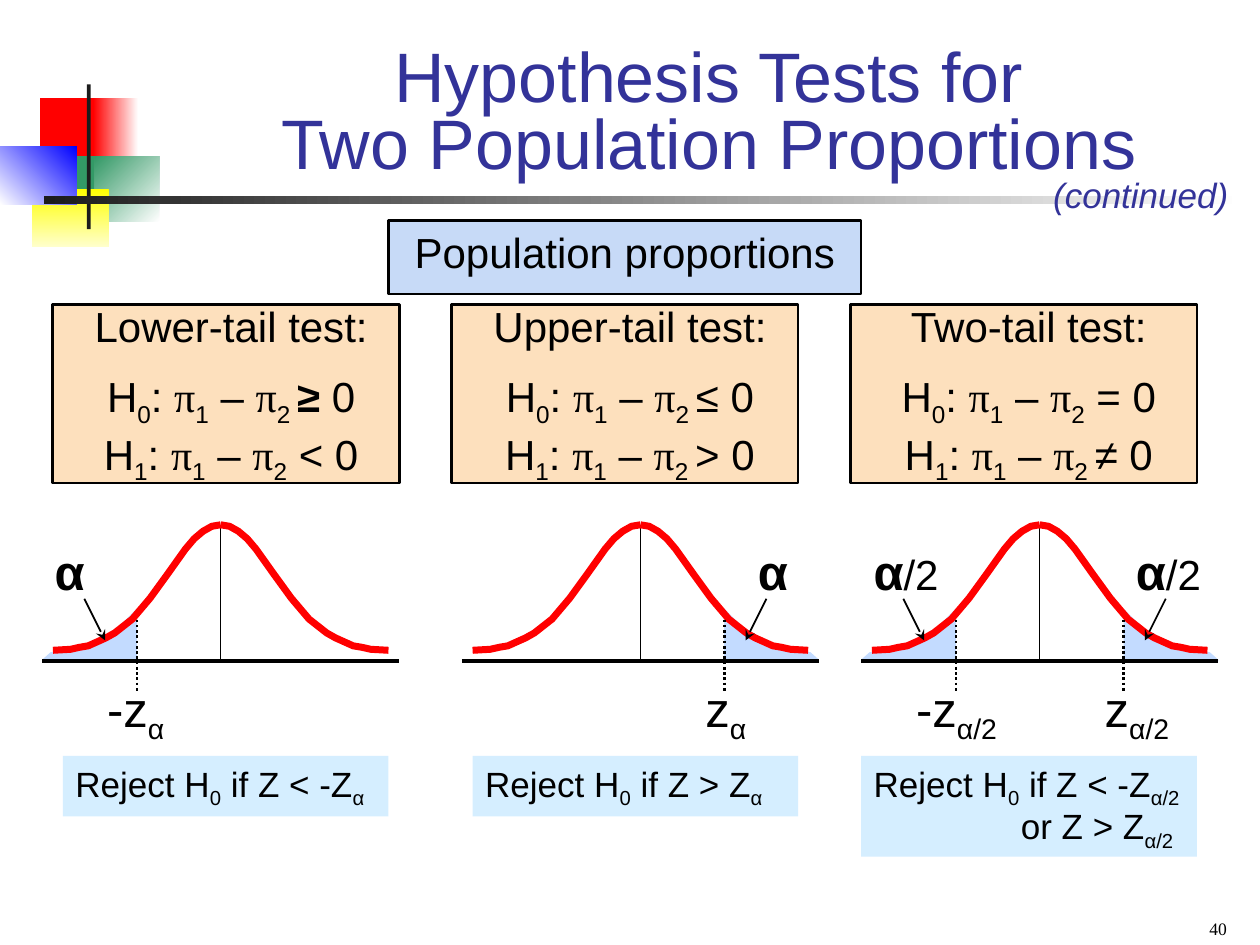
import lxml.etree
import pptx
import pptx.dml.color
import pptx.enum.dml
import pptx.enum.shapes
import pptx.enum.text
import pptx.oxml.ns
import pptx.util

Cm = pptx.util.Cm
Pt = pptx.util.Pt
ALIGN = pptx.enum.text.PP_ALIGN
ANCHOR = pptx.enum.text.MSO_ANCHOR
DOTTED = pptx.enum.dml.MSO_LINE.ROUND_DOT

BLACK, NAVY, RED = "000000", "333399", "FF0000"
PEAK, AXIS = 10.58, 13.33
AXIS_HALF, CRITICAL = 3.6, 1.69
CURVE_STEP = 0.178
CURVE = [(19, 2.53), (17, 2.51), (16, 2.47), (15, 2.44), (14, 2.36), (13, 2.28),
         (12, 2.18), (10, 1.9), (8, 1.48), (6, 0.99), (5, 0.74), (4, 0.49),
         (3, 0.28), (2, 0.13), (1, 0.03), (0, 0)]
TAIL = [(AXIS_HALF, 2.72), (3.43, 2.57), (2.79, 2.44), (2.46, 2.34), (2.08, 2.08),
        (CRITICAL, 1.69), (CRITICAL, 2.75), (AXIS_HALF, 2.75)]

LOGO = [
    (0.81, 1.98, 1.22, 1.32, ["FF0000"], 0),
    (1.88, 1.98, 0.91, 1.32, ["FFFFFF", "FF0000"], 180),
    (1.91, 3.15, 1.3, 1.32, ["FFFFFF", "339966"], 135),
    (1.09, 3.15, 0.81, 1.32, ["339966"], 0),
    (0.64, 3.81, 1.55, 1.17, ["FFFF00", "FFFFCC"], 270),
    (0, 2.95, 1.55, 1.17, ["0000FF", "FFFFFF"], 225),
    (1.75, 1.7, 0.08, 2.92, ["1C1C1C"], 0),
    (0.89, 3.96, 24.16, 0.15, ["FFFFFF", "1C1C1C"], 180),
]

HYPOTHESES = [
    ("Lower-tail test:", "_2 |*≥| 0", "_2| < 0"),
    ("Upper-tail test:", "_2 |≤ 0", "_2 |> 0"),
    ("Two-tail test:", "_2| = 0", "_2 |≠ 0"),
]

# Each tail: side, alpha text, alpha offset, z text, z offset
PANELS = [
    (4.45, [(-1, "*α", -3.6, "-z|_α", -2.54)]),
    (12.91, [(1, "*α", 2.12, "z|_α", 1.06)]),
    (20.96, [(-1, "*α|/2", -3.6, "-z|_α/2", -2.74),
             (1, "*α|/2", 1.69, "z|_α/2", 1.06)]),
]

DECISIONS = [
    (1.27, 6.56, 1.22, ["Reject H|_0| if Z < -Z|_α"]),
    (9.53, 6.56, 1.22, ["Reject H|_0| if Z > Z|_α"]),
    (17.36, 6.77, 2.03, ["Reject H|_0| if Z < -Z|_α/2", "or Z > Z|_α/2"]),
]


def color(value):
    return pptx.dml.color.RGBColor.from_string(value)


def write(paragraph, markup, size, font="Arial", ink=BLACK, align=ALIGN.LEFT):
    paragraph.alignment = align
    paragraph.font.name = font
    paragraph.font.size = Pt(size)
    paragraph.font.color.rgb = color(ink)
    for part in markup.split("|"):
        run = paragraph.add_run()
        run.text = part.lstrip("_*")
        if part.startswith("_"):
            run.font._element.set("baseline", "-25000")
        if part.startswith("*"):
            run.font.bold = True
        if part == "π":
            run.font.name = "Times New Roman"


def add_text(slide, left, top, width, height, markup, size, **style):
    shape = slide.shapes.add_textbox(Cm(left), Cm(top), Cm(width), Cm(height))
    shape.text_frame.word_wrap = True
    write(shape.text_frame.paragraphs[0], markup, size, **style)
    return shape.text_frame


def add_box(slide, left, top, width, height, fills, angle=0, outlined=False):
    shape = slide.shapes.add_shape(pptx.enum.shapes.MSO_SHAPE.RECTANGLE,
                                   Cm(left), Cm(top), Cm(width), Cm(height))
    shape.shadow.inherit = False
    if len(fills) == 1:
        shape.fill.solid()
        shape.fill.fore_color.rgb = color(fills[0])
    else:
        shape.fill.gradient()
        shape.fill.gradient_angle = angle
        for stop, value in zip(shape.fill.gradient_stops, fills):
            stop.color.rgb = color(value)
    if outlined:
        shape.line.color.rgb = color(BLACK)
        shape.line.width = Pt(1.5)
    else:
        shape.line.fill.background()
    return shape


def add_line(slide, start, end, width, dash=None, arrow=False):
    connector = slide.shapes.add_connector(
        pptx.enum.shapes.MSO_CONNECTOR.STRAIGHT, *map(Cm, start + end))
    connector.line.color.rgb = color(BLACK)
    connector.line.width = Pt(width)
    if dash is not None:
        connector.line.dash_style = dash
    qn = pptx.oxml.ns.qn
    properties = connector._element.spPr
    if arrow:
        lxml.etree.SubElement(properties.find(qn("a:ln")), qn("a:tailEnd"), type="stealth")
    lxml.etree.SubElement(properties, qn("a:effectLst"))


def add_outline(slide, points, fill=None):
    points = [(Cm(x), Cm(y)) for x, y in points]
    builder = slide.shapes.build_freeform(*points[0])
    builder.add_line_segments(points[1:], close=fill is not None)
    shape = builder.convert_to_shape()
    shape.shadow.inherit = False
    if fill:
        shape.fill.solid()
        shape.fill.fore_color.rgb = color(fill)
        shape.line.fill.background()
    else:
        shape.fill.background()
        shape.line.color.rgb = color(RED)
        shape.line.width = Pt(4)


def add_title(slide):
    title = slide.shapes.title
    title.left, title.top, title.width, title.height = Cm(4.02), Cm(1.06), Cm(20.53), Cm(2.75)
    title.text_frame.vertical_anchor = ANCHOR.BOTTOM
    title.text_frame.auto_size = pptx.enum.text.MSO_AUTO_SIZE.NONE
    title.text_frame.text = "Hypothesis Tests for\vTwo Population Proportions"
    paragraph = title.text_frame.paragraphs[0]
    paragraph.alignment = ALIGN.CENTER
    paragraph.line_spacing = 0.8
    paragraph.font.name = "Arial"
    paragraph.font.size = Pt(40)
    paragraph.font.color.rgb = color(NAVY)


def add_hypotheses(slide, left, heading, null_end, alternative_end):
    add_box(slide, left, 6.14, 6.99, 3.6, ["FDE0BD"], outlined=True)
    frame = add_text(slide, left - 0.21, 5.93, 7.62, 4.02, heading, 24, align=ALIGN.CENTER)
    for index, ending in enumerate((null_end, alternative_end)):
        paragraph = frame.add_paragraph()
        if index == 0:
            paragraph.space_before = Pt(11.5)
        write(paragraph, f"H|_{index}|: |π|_1| – |π|{ending}", 24, align=ALIGN.CENTER)


def add_distribution(slide, center, tails):
    add_line(slide, (center, PEAK), (center, AXIS), 0.75)
    for side, *_ in tails:
        add_outline(slide, [(center + side * x, PEAK + y) for x, y in TAIL], "C3DBFF")
    for side in (-1, 1):
        add_outline(slide, [(center + side * x * CURVE_STEP, PEAK + y) for x, y in CURVE])
    add_line(slide, (center - AXIS_HALF, AXIS), (center + AXIS_HALF, AXIS), 2)
    for side, alpha, alpha_offset, score, score_offset in tails:
        frame = add_text(slide, center + alpha_offset, 10.8, 2.34 if "/" in alpha else 1.07,
                         1.42, alpha, 24)
        frame.paragraphs[0].runs[0].font.size = Pt(28)
        arrow_start = -2.75 if side < 0 else 2.54
        add_line(slide, (center + arrow_start, 12.07),
                 (center + arrow_start - side * 0.42, 12.91), 1, arrow=True)
        add_text(slide, center + score_offset, 13.55, 2.74, 1.6, score, 28)
        boundary = center + side * CRITICAL
        add_line(slide, (boundary, 12.49), (boundary, 13.97), 1.5, dash=DOTTED)


def add_decision(slide, left, width, height, lines):
    frame = add_box(slide, left, 15.24, width, height, ["D5EEFF"]).text_frame
    frame.word_wrap = True
    frame.vertical_anchor = ANCHOR.TOP
    write(frame.paragraphs[0], lines[0], 20)
    for line in lines[1:]:
        paragraph = frame.add_paragraph()
        paragraph._p.get_or_add_pPr().set("marL", str(Cm(2.97)))
        paragraph.line_spacing = 0.2
        paragraph.space_before = Pt(12.5)
        write(paragraph, line, 20)


def main():
    presentation = pptx.Presentation()
    presentation.slide_width, presentation.slide_height = Cm(25.4), Cm(19.05)
    slide = presentation.slides.add_slide(presentation.slide_layouts[5])
    for left, top, width, height, fills, angle in LOGO:
        add_box(slide, left, top, width, height, fills, angle)
    add_title(slide)
    add_box(slide, 7.83, 4.45, 9.53, 1.48, ["C7DAF7"], outlined=True)
    add_text(slide, 7.83, 4.45, 9.53, 1.27, "Population proportions", 24, align=ALIGN.CENTER)
    for index, hypotheses in enumerate(HYPOTHESES):
        add_hypotheses(slide, 1.06 + index * 8.04, *hypotheses)
    for center, tails in PANELS:
        add_distribution(slide, center, tails)
    for decision in DECISIONS:
        add_decision(slide, *decision)
    continued = add_text(slide, 20.98, 3.38, 4.04, 1.12, "(continued)", 20, ink=NAVY)
    continued.word_wrap = False
    continued.paragraphs[0].font.italic = True
    number = add_text(slide, 19.05, 18.16, 5.93, 0.89, "40", 10,
                      font="Times New Roman", align=ALIGN.RIGHT)
    number.vertical_anchor = ANCHOR.BOTTOM
    presentation.save("out.pptx")


if __name__ == "__main__":
    main()
